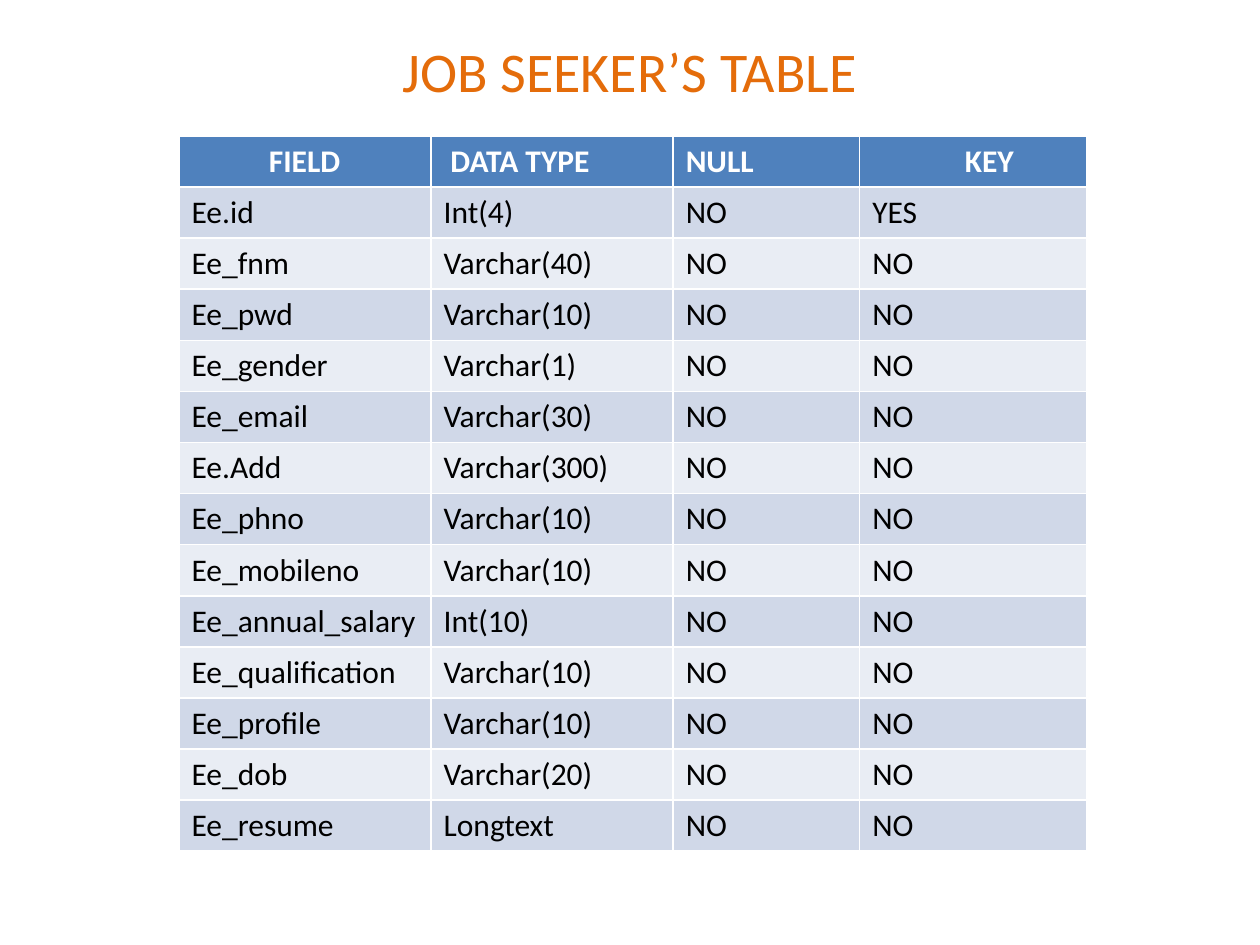
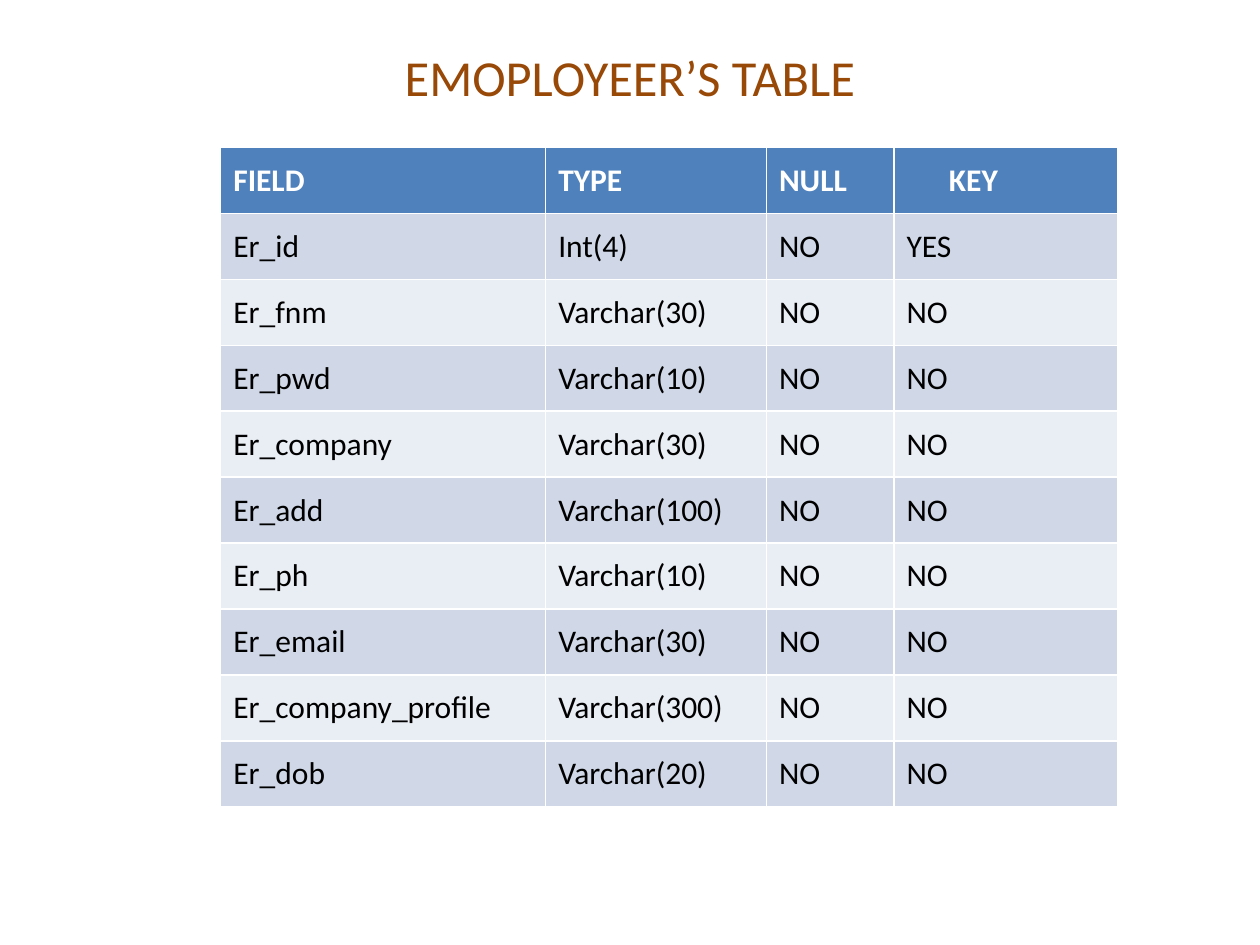
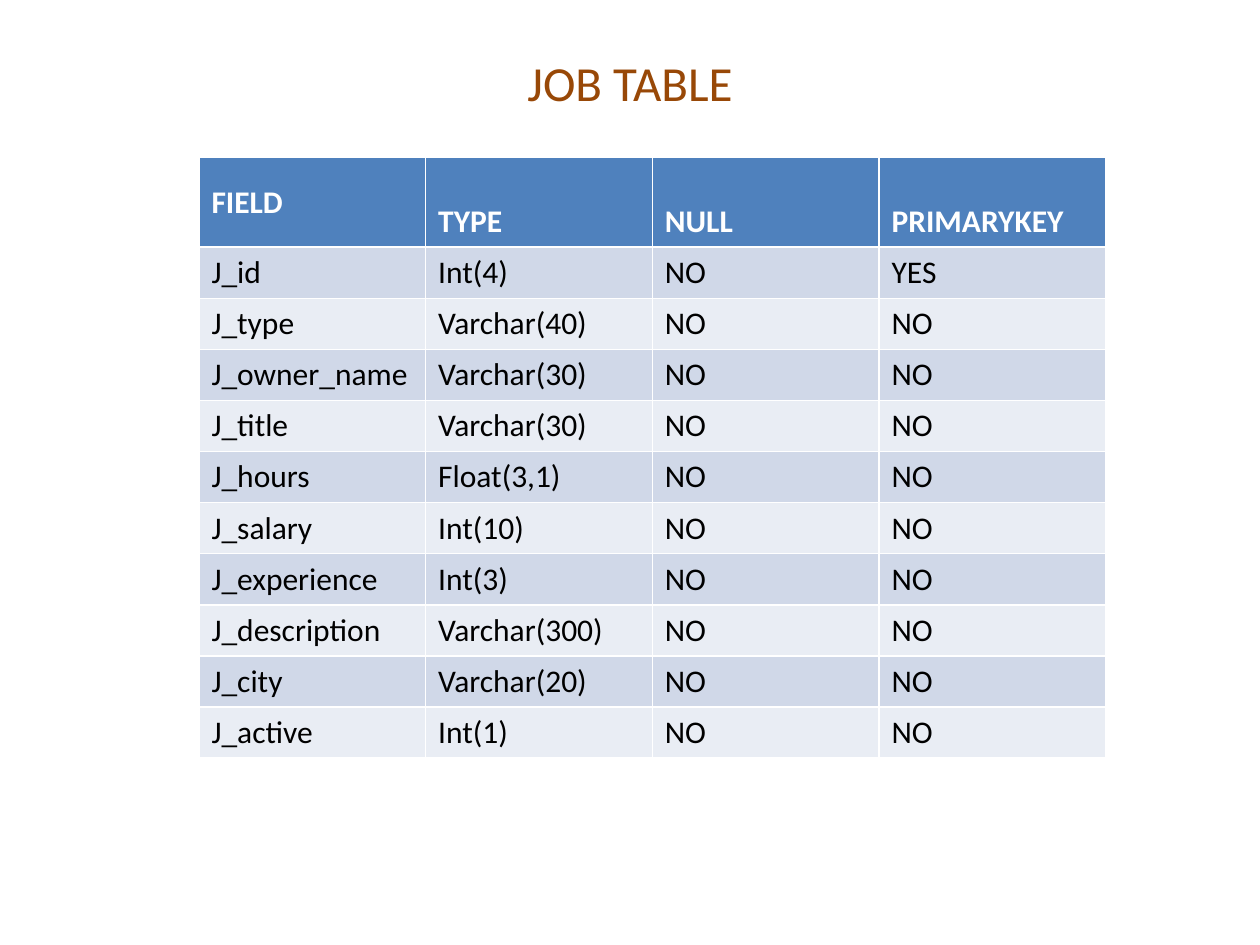
from pptx import Presentation
from pptx.dml.color import RGBColor
from pptx.enum.text import MSO_ANCHOR, MSO_AUTO_SIZE, PP_ALIGN
from pptx.util import Cm, Pt

ORANGE = RGBColor(0xE4, 0x6C, 0x0A)
BROWN = RGBColor(0x98, 0x48, 0x07)
BLUE = RGBColor(0x4F, 0x81, 0xBD)
BAND_DARK = RGBColor(0xD0, 0xD8, 0xE8)
BAND_LIGHT = RGBColor(0xE9, 0xED, 0xF4)
WHITE = RGBColor(0xFF, 0xFF, 0xFF)
BLACK = RGBColor(0x00, 0x00, 0x00)

HEADER_FONT = {"name": "Calibri", "size": Pt(18), "bold": True}
BODY_FONT = {"name": "Calibri", "size": Pt(18), "bold": False}
MIDDLE = {"vertical_anchor": MSO_ANCHOR.MIDDLE}
LOWERED = {"vertical_anchor": MSO_ANCHOR.MIDDLE, "margin_top": Cm(0.9)}

TABLES = [
    {
        "title": "JOB SEEKER’S TABLE",
        "title_color": ORANGE,
        "title_size": 32,
        "title_top": 0.43,
        "title_height": 1.98,
        "left": 3.61,
        "top": 2.74,
        "column_widths": [5.08, 4.88, 3.76, 4.57],
        "header_height": 1.03,
        "row_height": 1.03,
        "headers": [
            ("FIELD", {"margin_left": Cm(1.81)}),
            ("DATA TYPE", {"margin_left": Cm(0.39)}),
            ("NULL", {}),
            ("KEY", {"margin_left": Cm(2.12)}),
        ],
        "fields": [
            ("Ee.id", "Int(4)"),
            ("Ee_fnm", "Varchar(40)"),
            ("Ee_pwd", "Varchar(10)"),
            ("Ee_gender", "Varchar(1)"),
            ("Ee_email", "Varchar(30)"),
            ("Ee.Add", "Varchar(300)"),
            ("Ee_phno", "Varchar(10)"),
            ("Ee_mobileno", "Varchar(10)"),
            ("Ee_annual_salary", "Int(10)"),
            ("Ee_qualification", "Varchar(10)"),
            ("Ee_profile", "Varchar(10)"),
            ("Ee_dob", "Varchar(20)"),
            ("Ee_resume", "Longtext"),
        ],
    },
    {
        "title": "EMOPLOYEER’S TABLE",
        "title_color": BROWN,
        "title_size": 28.8,
        "title_top": 0.76,
        "title_height": 1.57,
        "left": 4.45,
        "top": 2.97,
        "column_widths": [6.55, 4.45, 2.57, 4.52],
        "header_height": 1.33,
        "row_height": 1.33,
        "headers": [
            ("FIELD", MIDDLE),
            ("TYPE", MIDDLE),
            ("NULL", MIDDLE),
            ("KEY", {**MIDDLE, "margin_left": Cm(1.11)}),
        ],
        "fields": [
            ("Er_id", "Int(4)"),
            ("Er_fnm", "Varchar(30)"),
            ("Er_pwd", "Varchar(10)"),
            ("Er_company", "Varchar(30)"),
            ("Er_add", "Varchar(100)"),
            ("Er_ph", "Varchar(10)"),
            ("Er_email", "Varchar(30)"),
            ("Er_company_profile", "Varchar(300)"),
            ("Er_dob", "Varchar(20)"),
        ],
    },
    {
        "title": "JOB TABLE",
        "title_color": BROWN,
        "title_size": 28,
        "title_top": 0.76,
        "title_height": 1.78,
        "left": 4.01,
        "top": 3.18,
        "column_widths": [4.57] * 4,
        "header_height": 1.8,
        "row_height": 1.03,
        "headers": [
            ("FIELD", MIDDLE),
            ("TYPE", LOWERED),
            ("NULL", LOWERED),
            ("PRIMARYKEY", LOWERED),
        ],
        "fields": [
            ("J_id", "Int(4)"),
            ("J_type", "Varchar(40)"),
            ("J_owner_name", "Varchar(30)"),
            ("J_title", "Varchar(30)"),
            ("J_hours", "Float(3,1)"),
            ("J_salary", "Int(10)"),
            ("J_experience", "Int(3)"),
            ("J_description", "Varchar(300)"),
            ("J_city", "Varchar(20)"),
            ("J_active", "Int(1)"),
        ],
    },
]


def set_attributes(target, values):
    for name, value in values.items():
        setattr(target, name, value)


def fill_cell(cell, text, cell_format, font_format, font_color, fill_color):
    cell.text = text
    set_attributes(cell, cell_format)
    cell.fill.solid()
    cell.fill.fore_color.rgb = fill_color
    font = cell.text_frame.paragraphs[0].runs[0].font
    set_attributes(font, font_format)
    font.color.rgb = font_color


presentation = Presentation()
presentation.slide_width = Cm(25.4)
presentation.slide_height = Cm(19.05)
title_only = presentation.slide_layouts.get_by_name("Title Only")

for content in TABLES:
    slide = presentation.slides.add_slide(title_only)

    title = slide.shapes.title
    set_attributes(title, {
        "left": Cm(1.27),
        "top": Cm(content["title_top"]),
        "width": Cm(22.86),
        "height": Cm(content["title_height"]),
    })
    title.text = content["title"]
    set_attributes(title.text_frame, {
        "auto_size": MSO_AUTO_SIZE.NONE,
        "vertical_anchor": MSO_ANCHOR.MIDDLE,
    })
    paragraph = title.text_frame.paragraphs[0]
    paragraph.alignment = PP_ALIGN.CENTER
    font = paragraph.runs[0].font
    set_attributes(font, {"name": "Calibri", "size": Pt(content["title_size"])})
    font.color.rgb = content["title_color"]

    widths = content["column_widths"]
    fields = content["fields"]
    table_height = content["header_height"] + content["row_height"] * len(fields)
    table = slide.shapes.add_table(
        len(fields) + 1, len(widths),
        Cm(content["left"]), Cm(content["top"]), Cm(sum(widths)), Cm(table_height),
    ).table
    for column, width in zip(table.columns, widths):
        column.width = Cm(width)
    for row in table.rows:
        row.height = Cm(content["row_height"])
    table.rows[0].height = Cm(content["header_height"])

    for column_index, (text, cell_format) in enumerate(content["headers"]):
        fill_cell(table.cell(0, column_index), text, cell_format, HEADER_FONT, WHITE, BLUE)

    for row_index, (field, data_type) in enumerate(fields, start=1):
        key = "YES" if row_index == 1 else "NO"
        band = BAND_DARK if row_index % 2 else BAND_LIGHT
        for column_index, text in enumerate([field, data_type, "NO", key]):
            fill_cell(table.cell(row_index, column_index), text, MIDDLE, BODY_FONT, BLACK, band)

presentation.save("out.pptx")
